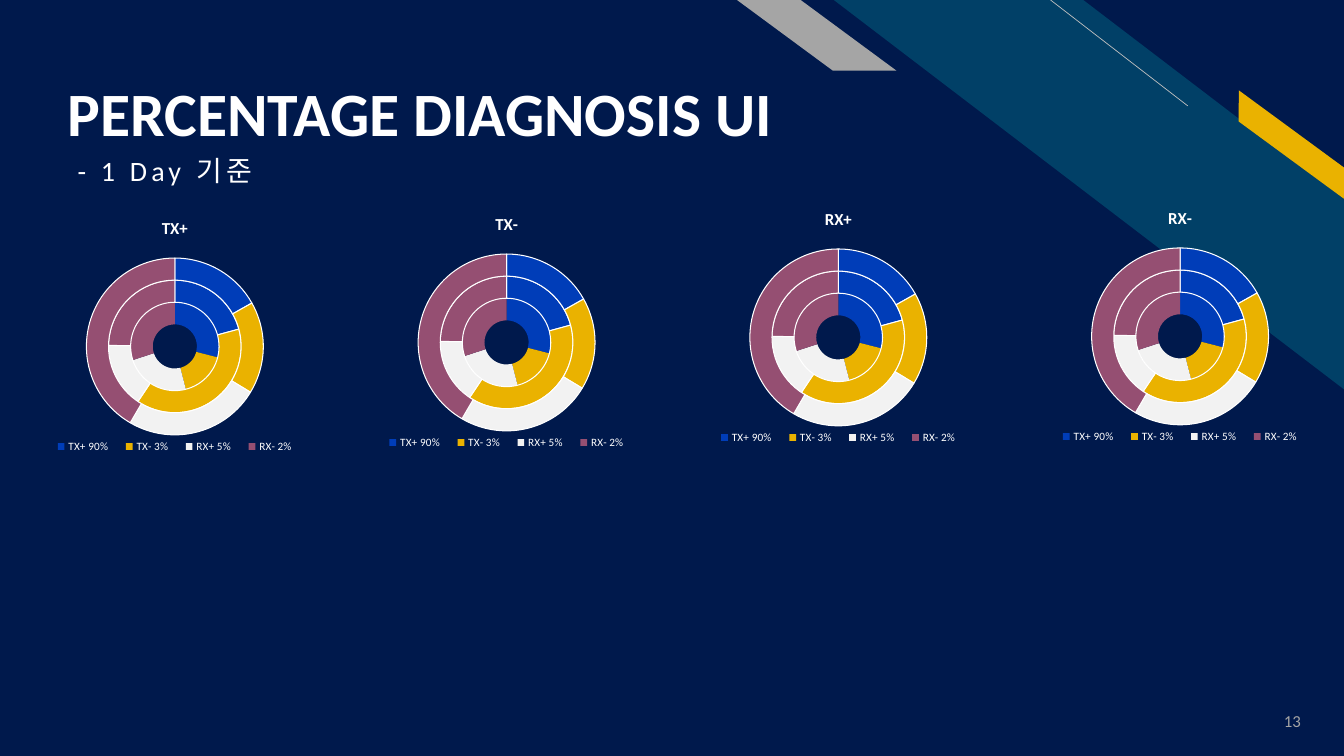
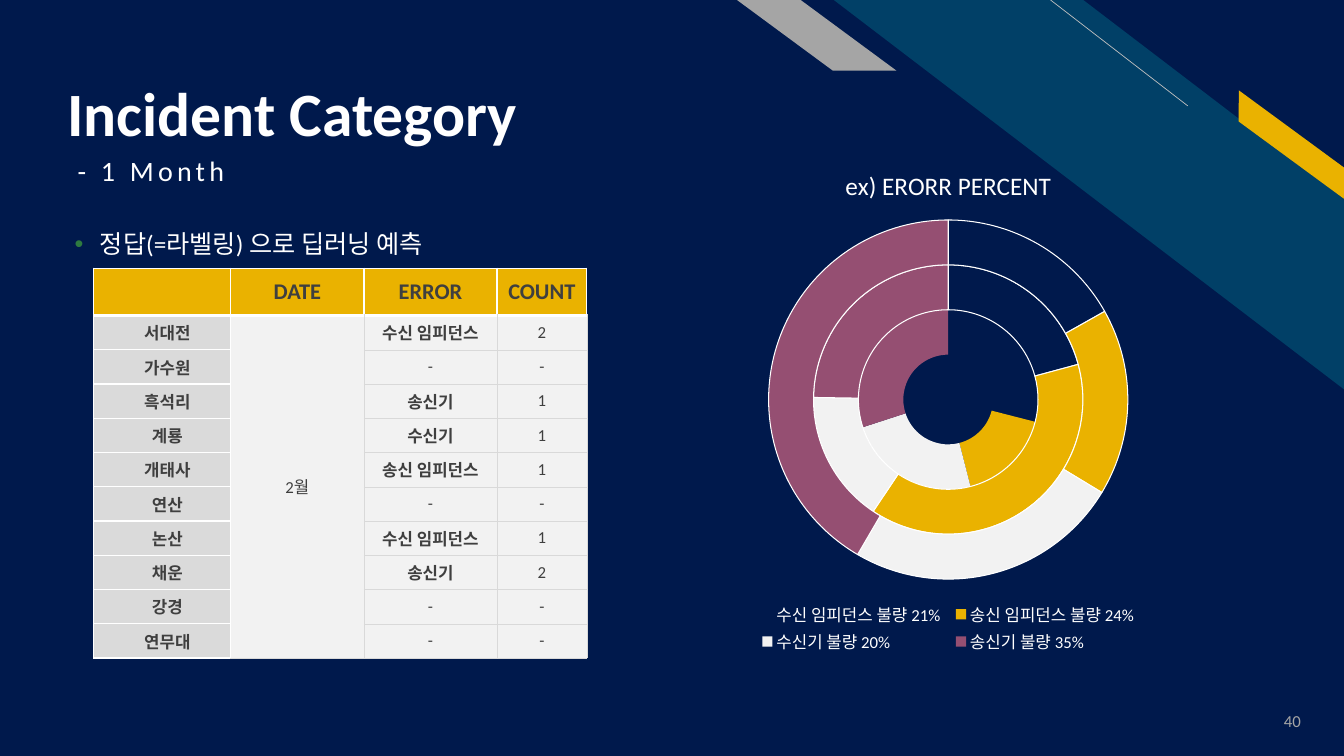
from dataclasses import dataclass

from lxml.etree import SubElement
from pptx import Presentation
from pptx.chart.data import CategoryChartData
from pptx.dml.color import RGBColor
from pptx.enum.chart import XL_CHART_TYPE, XL_LEGEND_POSITION
from pptx.enum.shapes import MSO_CONNECTOR, MSO_SHAPE
from pptx.enum.text import MSO_ANCHOR, MSO_AUTO_SIZE, PP_ALIGN
from pptx.oxml import parse_xml
from pptx.oxml.ns import nsdecls, qn
from pptx.util import Inches, Pt

FONT = "Calibri"
NAVY, TEAL, BLUE, GOLD = "00194C", "014067", "003DB8", "EAB200"
PLUM, GREEN, WHITE, PALE = "954F72", "2E7A40", "FFFFFF", "F2F2F2"
INK, GRAY, SILVER, RULE, LABEL = "3F3F3F", "A5A5A5", "BFBFBF", "D9D9D9", "DADADA"

Box = tuple[float, float, float, float]


@dataclass
class Stripe:
    kind: MSO_SHAPE
    box: Box
    fill: str
    adjust: float
    rotation: float = 0


@dataclass
class RingStyle:
    """Text sizes, first colour and part placement (fractions of the chart)."""
    title_size: int
    title_bold: bool
    legend_size: int
    first_color: str
    plot: Box
    legend: Box


STRIPES = [
    Stripe(MSO_SHAPE.DIAGONAL_STRIPE, (8.27, 0, 5.07, 3.87), TEAL, 0.512),
    Stripe(MSO_SHAPE.PARALLELOGRAM, (12.07, 1.31, 1.48, 0.25), GOLD, 0.72, 36.3),
    Stripe(MSO_SHAPE.PARALLELOGRAM, (7.31, 0, 1.58, 0.7), GRAY, 1.356),
]
RINGS = [(29, 17, 24, 30), (21, 39, 16, 25), (17, 17, 25, 42)]
SMALL_RING = RingStyle(12, True, 8, BLUE, (0.23, 0.2, 0.54, 0.65), (0.1, 0.86, 0.8, 0.06))
LARGE_RING = RingStyle(18, False, 12, NAVY, (0.27, 0.14, 0.46, 0.7), (0.25, 0.88, 0.5, 0.11))

SIGNALS = ["TX+ 90%", "TX- 3%", "RX+ 5%", "RX- 2%"]
SIGNAL_CHARTS = [("TX+", 0.11, 2.01), ("TX-", 3.4, 1.97),
                 ("RX+", 6.69, 1.92), ("RX-", 10.08, 1.91)]
FAULTS = ["수신 임피던스 불량 21%", "송신 임피던스 불량 24%",
          "수신기 불량 20%", "송신기 불량 35%"]
HEADINGS = ["", "DATE", "ERROR", "COUNT"]
INCIDENTS = [
    ("서대전", "수신 임피던스", "2"), ("가수원", "-", "-"), ("흑석리", "송신기", "1"),
    ("계룡", "수신기", "1"), ("개태사", "송신 임피던스", "1"), ("연산", "-", "-"),
    ("논산", "수신 임피던스", "1"), ("채운", "송신기", "2"), ("강경", "-", "-"),
    ("연무대", "-", "-"),
]


def color(code: str) -> RGBColor:
    return RGBColor.from_string(code)


def inches(box: Box) -> list:
    return [Inches(value) for value in box]


def style_font(font, size: float, code: str, bold: bool = False) -> None:
    font.name, font.size, font.bold = FONT, Pt(size), bold
    font.color.rgb = color(code)


# Shared backdrop

def add_stripe(page, stripe: Stripe):
    shape = page.shapes.add_shape(stripe.kind, *inches(stripe.box))
    shape.shadow.inherit = False
    shape.fill.solid()
    shape.fill.fore_color.rgb = color(stripe.fill)
    shape.line.fill.background()
    shape.adjustments[0] = stripe.adjust
    shape.rotation = stripe.rotation
    shape.element.spPr.get_or_add_xfrm().set("flipH", "1")
    return shape


def build_backdrop(layout, page) -> None:
    """Draw the shared parts on a page, then move them to its layout."""
    layout.background.fill.solid()
    layout.background.fill.fore_color.rgb = color(NAVY)
    line = page.shapes.add_connector(
        MSO_CONNECTOR.STRAIGHT, *inches((11.78, 1.05, 10.42, 0)))
    line.line.color.rgb, line.line.width = color(SILVER), Pt(0.5)
    SubElement(line.element.spPr, qn("a:effectLst"))
    band, *others = [add_stripe(page, stripe) for stripe in STRIPES]
    for number, shape in enumerate([band, line, *others], start=101):
        shape.element.xpath(".//p:cNvPr")[0].set("id", str(number))
        layout.shapes.element.append(shape.element)


# Titles, lists and page numbers

def fill_placeholder(holder, box: Box, text: str, size: float, bold: bool = False,
                     bullet: str = "", anchor=MSO_ANCHOR.TOP):
    holder.left, holder.top, holder.width, holder.height = inches(box)
    frame = holder.text_frame
    frame.auto_size, frame.vertical_anchor = MSO_AUTO_SIZE.NONE, anchor
    para = frame.paragraphs[0]
    para.text, para.alignment = text, PP_ALIGN.LEFT
    para.line_spacing, para.space_before = 0.9, Pt(0)
    props = para._p.get_or_add_pPr()
    indent = Inches(0.25) if bullet else 0
    props.set("marL", str(indent))
    props.set("indent", str(-indent))
    if bullet:
        SubElement(SubElement(props, qn("a:buClr")), qn("a:srgbClr"), val=GREEN)
        SubElement(props, qn("a:buFont"), typeface="Arial")
        SubElement(props, qn("a:buChar"), char=bullet)
    else:
        SubElement(props, qn("a:buNone"))
    style_font(para.font, size, WHITE, bold)
    return frame


def add_page_number(page, number: str) -> None:
    frame = page.shapes.add_textbox(*inches((12.19, 6.95, 0.81, 0.4))).text_frame
    frame.word_wrap = True
    frame.vertical_anchor = MSO_ANCHOR.MIDDLE
    para = frame.paragraphs[0]
    para.text, para.alignment = number, PP_ALIGN.RIGHT
    style_font(para.font, 12, GRAY)


def add_headings(page, title: str, subtitle: str, number: str) -> None:
    frame = fill_placeholder(page.shapes.title, (0.57, 0.23, 9.11, 1.26), title, 44, True,
                             anchor=MSO_ANCHOR.BOTTOM)
    frame.margin_bottom = 0
    frame = fill_placeholder(page.placeholders[1], (0.57, 1.51, 8.06, 0.67), subtitle, 20)
    frame.margin_left = Inches(0.2)
    for span in frame.paragraphs[0].runs:
        span._r.get_or_add_rPr().set("spc", "300")
    add_page_number(page, number)


# Doughnut charts

def place_part(part, index: int, box: Box, target: str = "") -> None:
    """Give a chart part a manual layout."""
    for old in part.findall(qn("c:layout")):
        part.remove(old)
    layout = parse_xml(f"<c:layout {nsdecls('c')}><c:manualLayout/></c:layout>")
    settings = {"layoutTarget": target} if target else {}
    settings |= {"xMode": "edge", "yMode": "edge"}
    settings |= dict(zip("xywh", map(str, box)))
    for tag, value in settings.items():
        SubElement(layout[0], qn(f"c:{tag}"), val=value)
    part.insert(index, layout)


def add_rings(page, box: Box, title: str, categories: list[str], style: RingStyle) -> None:
    data = CategoryChartData()
    data.categories = categories
    for number, values in enumerate(RINGS, start=1):
        data.add_series(f"Series {number}", values)
    chart = page.shapes.add_chart(XL_CHART_TYPE.DOUGHNUT, *inches(box), data).chart
    style_font(chart.font, 10, INK)
    chart.has_title = True
    para = chart.chart_title.text_frame.paragraphs[0]
    para.text = title
    style_font(para.font, style.title_size, WHITE, style.title_bold)

    chart.has_legend = True
    chart.legend.position = XL_LEGEND_POSITION.BOTTOM
    chart.legend.include_in_layout = False
    style_font(chart.legend.font, style.legend_size, WHITE)
    place_part(chart.legend._element, 1, style.legend)
    place_part(chart.element.find(".//" + qn("c:plotArea")), 0, style.plot, "inner")

    plot = chart.plots[0]
    plot.vary_by_categories = True
    for ring, series in enumerate(plot.series):
        for index, code in enumerate([style.first_color, GOLD, PALE, PLUM]):
            look = series.points[index].format
            look.fill.solid()
            look.fill.fore_color.rgb = color(code)
            if ring:
                look.line.color.rgb, look.line.width = color(WHITE), Pt(0.75)
            else:
                look.line.fill.background()


# Incident table

def set_borders(cell, edges: dict[str, tuple[str, float]]) -> None:
    props = cell._tc.get_or_add_tcPr()
    for index, side in enumerate("LRTB"):
        code, width = edges[side]
        props.insert(index, parse_xml(
            f'<a:ln{side} {nsdecls("a")} w="{Pt(width)}"><a:solidFill>'
            f'<a:srgbClr val="{code}"/></a:solidFill></a:ln{side}>'))


def style_cell(cell, text: str, row: int, column: int) -> None:
    header, label = row == 0, column == 0
    cell.fill.solid()
    cell.fill.fore_color.rgb = color(GOLD if header else LABEL if label else PALE)
    cell.vertical_anchor = MSO_ANCHOR.MIDDLE
    if label and not header:
        cell.margin_left = Inches(0.2)
    para = cell.text_frame.paragraphs[0]
    para.text, para.alignment = text, PP_ALIGN.CENTER
    bold = header or label or (column == 2 and text != "-")
    style_font(para.font, 16 if header else 12, INK, bold)

    edges = dict.fromkeys("LRTB", (WHITE, 1) if header or label else (RULE, 0.25))
    if header:
        edges["B"] = (WHITE, 3)
    elif row == 1:
        edges["T"] = (WHITE, 1)
    if column == 1:
        edges["L"] = (WHITE, 1)
    set_borders(cell, edges)


def add_incident_table(page) -> None:
    rows = [HEADINGS] + [[station, "2월" if index == 0 else "", error, count]
                         for index, (station, error, count) in enumerate(INCIDENTS)]
    table = page.shapes.add_table(len(rows), 4, *inches((0.93, 2.66, 4.89, 3.87))).table
    table.horz_banding = False
    for column, width in zip(table.columns, (1.36, 1.32, 1.32, 0.89)):
        column.width = Inches(width)
    for row, texts in enumerate(rows):
        table.rows[row].height = Inches(0.34 if row else 0.47)
        for column, text in enumerate(texts):
            style_cell(table.cell(row, column), text, row, column)
    table.cell(1, 1).merge(table.cell(len(INCIDENTS), 1))


def main() -> None:
    deck = Presentation()
    deck.slide_width, deck.slide_height = Inches(13.33), Inches(7.5)
    layout = deck.slide_layouts[3]

    # Diagnosis percentages
    page = deck.slides.add_slide(layout)
    build_backdrop(layout, page)
    add_headings(page, "PERCENTAGE DIAGNOSIS UI", "- 1 Day 기준", "13")
    unused = page.placeholders[2].element
    unused.getparent().remove(unused)
    for title, left, top in SIGNAL_CHARTS:
        add_rings(page, (left, top, 3.25, 2.72), title, SIGNALS, SMALL_RING)

    # Incident categories
    page = deck.slides.add_slide(layout)
    add_headings(page, "Incident Category", "- 1 Month", "40")
    fill_placeholder(page.placeholders[2], (0.64, 2.25, 10.71, 3.24),
                     "정답(=라벨링) 으로 딥러닝 예측", 18, bullet="•")
    add_rings(page, (5.52, 1.47, 7.77, 5.09), "ex) ERORR PERCENT", FAULTS, LARGE_RING)
    add_incident_table(page)

    deck.save("out.pptx")


if __name__ == "__main__":
    main()
